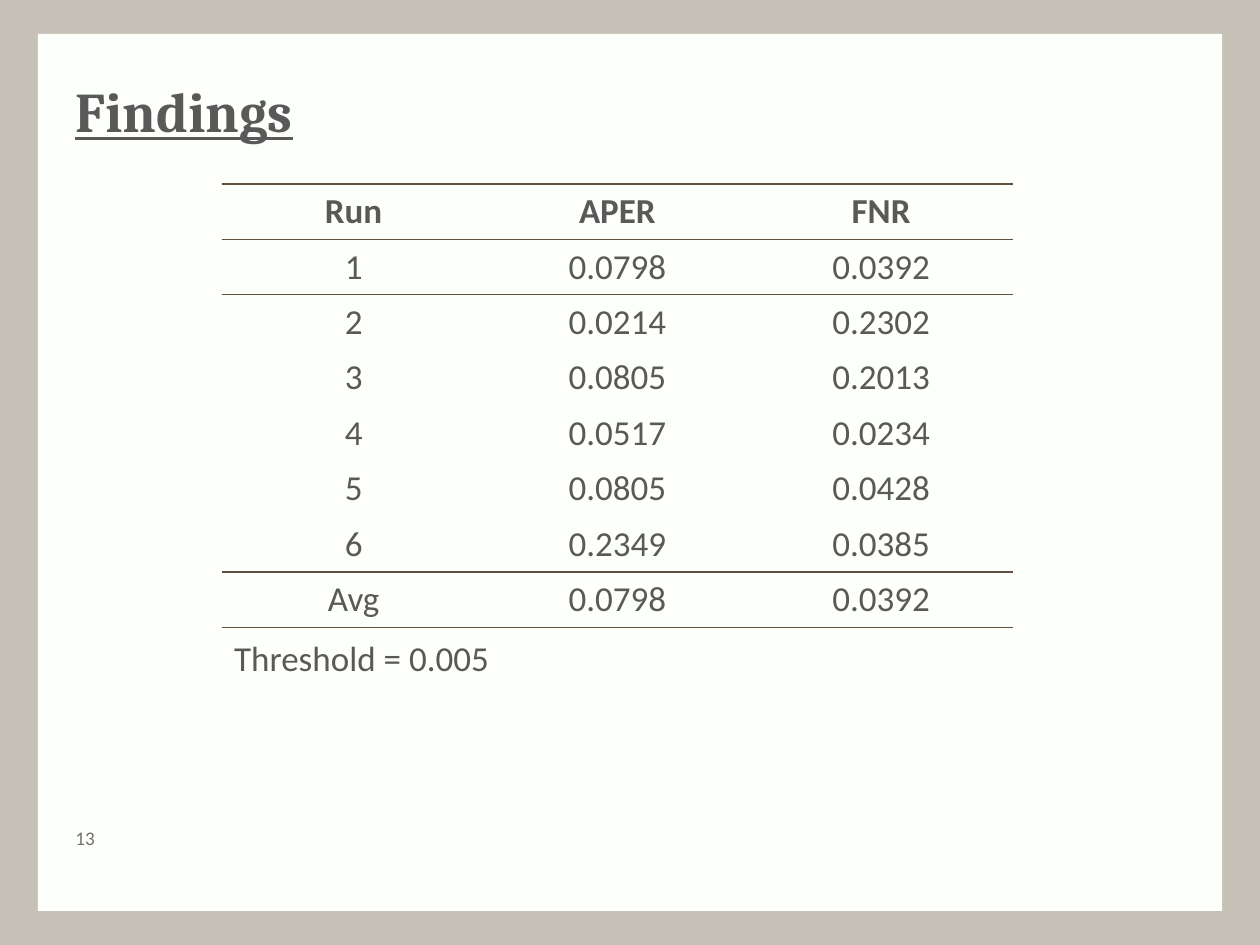
from pptx import Presentation
from pptx.dml.color import RGBColor as RGB
from pptx.enum.shapes import MSO_SHAPE as Shape
from pptx.enum.text import MSO_ANCHOR as Anchor, PP_ALIGN as Align
from pptx.oxml import parse_xml
from pptx.oxml.ns import nsdecls, qn
from pptx.util import Inches, Pt

SAND = RGB(0xC6, 0xC0, 0xB7)
PAPER = RGB(0xFD, 0xFF, 0xFB)
INK = RGB(0x59, 0x59, 0x59)
GREY = RGB(0x71, 0x71, 0x71)
RULE = RGB(0x61, 0x50, 0x42)
PLAIN = "{2D5ABB26-0587-4C30-8999-92F81FD0307C}"  # table style without grid


def add_run(par, text, size, color=INK, face="Calibri", bold=False):
    run = par.add_run()
    run.text = text
    font = run.font
    font.size, font.name, font.bold = Pt(size), face, bold
    font.color.rgb = color
    return run


def add_box(left, top, width, height, pad=0.05):
    box = slide.shapes.add_textbox(
        Inches(left), Inches(top), Inches(width), Inches(height))
    frame = box.text_frame
    frame.word_wrap = True
    frame.vertical_anchor = Anchor.MIDDLE
    frame.margin_top = frame.margin_bottom = Inches(pad)
    return frame.paragraphs[0]


deck = Presentation()
deck.slide_width, deck.slide_height = Inches(10), Inches(7.5)
slide = deck.slides.add_slide(deck.slide_layouts[6])

# Background and paper panel
back = slide.background.fill
back.solid()
back.fore_color.rgb = SAND
panel = slide.shapes.add_shape(
    Shape.RECTANGLE, Inches(0.3), Inches(0.27), Inches(9.4), Inches(6.96))
panel.shadow.inherit = False
panel.fill.solid()
panel.fill.fore_color.rgb = PAPER
panel.line.fill.background()

# Title
title = add_run(add_box(0.5, 0.5, 9, 0.75), "Findings", 32,
                face="Cambria", bold=True)
title.font.underline = True

# Table of runs
rows = [
    ("Run", "APER", "FNR"),
    ("1", "0.0798", "0.0392"),
    ("2", "0.0214", "0.2302"),
    ("3", "0.0805", "0.2013"),
    ("4", "0.0517", "0.0234"),
    ("5", "0.0805", "0.0428"),
    ("6", "0.2349", "0.0385"),
    ("Avg", "0.0798", "0.0392"),
]
# Rule widths in points, by the row edge they lie on
rules = {0: 0.75, 1: 0.75, len(rows) - 1: 1.08, len(rows): 0.75}

grid = slide.shapes.add_table(
    len(rows), 3, Inches(1.76), Inches(1.46), Inches(6.28),
    Inches(0.44 * len(rows))).table
grid._tbl.tblPr.find(qn("a:tableStyleId")).text = PLAIN
grid.horz_banding = False

for r, row in enumerate(rows):
    for c, text in enumerate(row):
        cell = grid.cell(r, c)
        cell.vertical_anchor = Anchor.MIDDLE
        cell.fill.background()
        par = cell.text_frame.paragraphs[0]
        par.alignment = Align.CENTER
        add_run(par, text, 20, bold=r == 0)

        # Bottom first, so that the top edge ends up ahead of it
        props = cell._tc.get_or_add_tcPr()
        for tag, edge in (("lnB", r + 1), ("lnT", r)):
            if edge in rules:
                props.insert(0, parse_xml(
                    f'<a:{tag} {nsdecls("a")} w="{Pt(rules[edge])}">'
                    f'<a:solidFill><a:srgbClr val="{RULE}"/></a:solidFill>'
                    f'</a:{tag}>'))

# Slide number and threshold note
num = add_box(0.5, 6.55, 0.4, 0.2, pad=0)
add_run(num, "13", 11, GREY)
add_run(add_box(1.76, 5, 2.34, 0.44), "Threshold = 0.005", 20)

deck.save("out.pptx")
